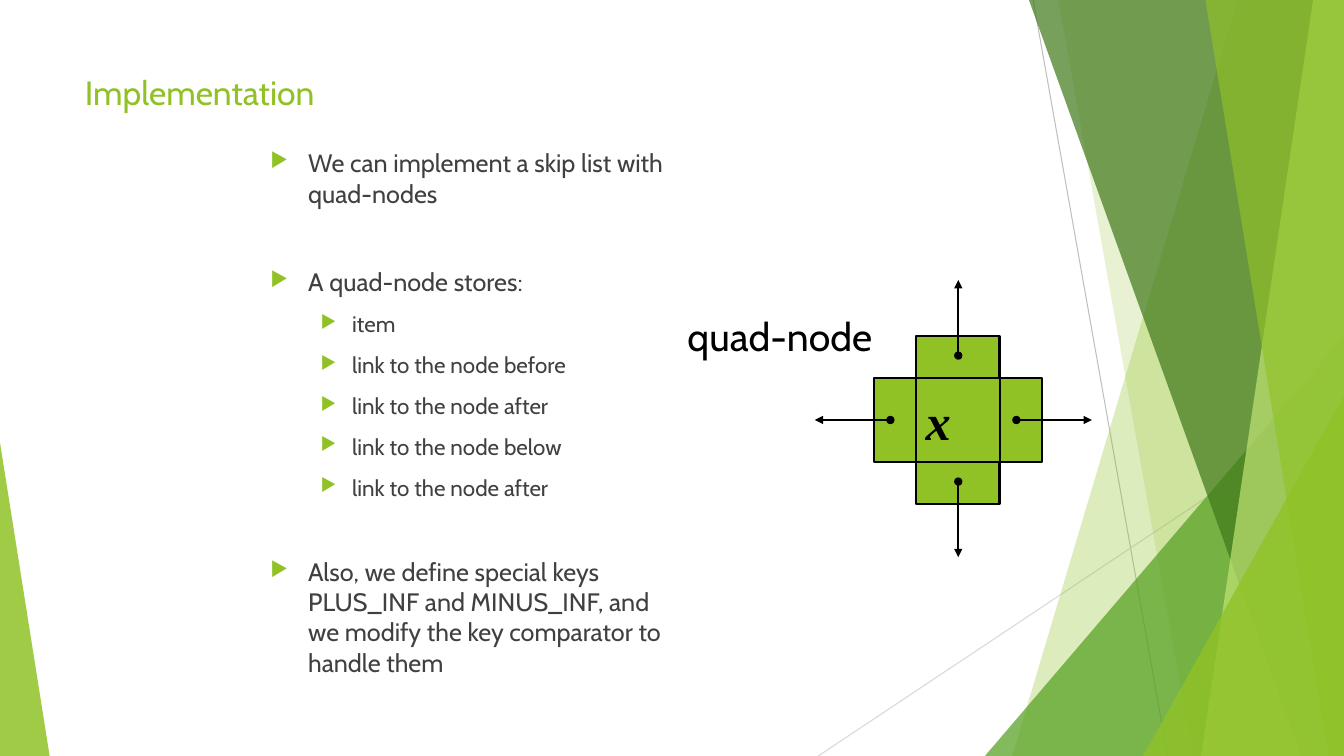
"""Builds the skip list slide with its quad-node diagram."""
from lxml import etree
from pptx import Presentation
from pptx import util as u
from pptx.dml.color import RGBColor
from pptx.enum import shapes, text
from pptx.oxml import ns

Pt = u.Pt
GREEN = RGBColor(0x90, 0xC2, 0x26)
MID_GREEN = RGBColor(0x54, 0xA0, 0x21)
DARK_GREEN = RGBColor(0x3F, 0x78, 0x19)
PALE_GREEN = RGBColor(0xC0, 0xE4, 0x74)
GREY = RGBColor(0xBF, 0xBF, 0xBF)
LIGHT_GREY = RGBColor(0xD9, 0xD9, 0xD9)
TEXT_GREY = RGBColor(0x40, 0x40, 0x40)
BLACK = RGBColor(0, 0, 0)
WIDTH, HEIGHT = 960, 540


def add_line(slide, points, color, width):
    line = slide.shapes.add_connector(shapes.MSO_CONNECTOR.STRAIGHT, *map(Pt, points))
    line.line.color.rgb = color
    line.line.width = Pt(width)
    etree.SubElement(line._element.spPr, ns.qn("a:effectLst"))
    return line


def set_font(paragraph, size, color, **formats):
    values = {"name": "Cabin", "size": Pt(size), **formats}
    for name, value in values.items():
        setattr(paragraph.font, name, value)
    paragraph.font.color.rgb = color


presentation = Presentation()
presentation.slide_width, presentation.slide_height = Pt(WIDTH), Pt(HEIGHT)
slide = presentation.slides.add_slide(presentation.slide_layouts[5])

add_line(slide, (738, 0, 834, HEIGHT), GREY, 0.75)
add_line(slide, (WIDTH, 290, 584.5, HEIGHT), LIGHT_GREY, 0.75)

facets = [
    ("panel", (884, 723), GREEN, 30),
    ("panel", (756, 852), GREEN, 20),
    ("triangle", (703.5, 240, 256.5, 1), MID_GREEN, 72),
    ("panel", (735, 929.5), DARK_GREEN, 70),
    ("panel", (938, 858), PALE_GREEN, 70),
    ("panel", (861, 949), GREEN, 65),
    ("triangle", (816.5, 283, 143.5, 1), GREEN, 80),
    ("triangle", (0, 316, 35.5, 0), GREEN, 85),
]
for kind, geometry, color, opacity in facets:
    if kind == "panel":
        top_x, bottom_x = geometry
        builder = slide.shapes.build_freeform(Pt(top_x), 0)
        corners = [(WIDTH, 0), (WIDTH, HEIGHT), (bottom_x, HEIGHT)]
        builder.add_line_segments([(Pt(x), Pt(y)) for x, y in corners], close=True)
        facet = builder.convert_to_shape()
    else:
        left, top, width, apex = geometry
        facet = slide.shapes.add_shape(
            shapes.MSO_SHAPE.ISOSCELES_TRIANGLE, Pt(left), Pt(top), Pt(width), Pt(HEIGHT - top))
        facet.adjustments[0] = apex
    facet.shadow.inherit = False
    facet.line.fill.background()
    facet.fill.solid()
    facet.fill.fore_color.rgb = color
    fill_color = facet._element.spPr.find(".//" + ns.qn("a:srgbClr"))
    etree.SubElement(fill_color, ns.qn("a:alpha"), val=str(opacity * 1000))

title = slide.shapes.title
title.left, title.top, title.width, title.height = Pt(53.5), Pt(48), Pt(677), Pt(104)
title.text_frame.text = "Implementation"
title.text_frame.vertical_anchor = text.MSO_ANCHOR.TOP
title.text_frame.paragraphs[0].alignment = text.PP_ALIGN.LEFT
set_font(title.text_frame.paragraphs[0], 24, GREEN)

body = slide.shapes.add_textbox(Pt(186), Pt(102), Pt(300), Pt(372))
body.text_frame.word_wrap = True
levels = [{"size": 18, "left": 27, "hanging": 27}, {"size": 16, "left": 58.5, "hanging": 22.5}]
items = [
    (0, 0, "We can implement a skip list with quad-nodes"),
    (0, 41.5, "A quad-node stores:"),
    (1, 10, "item"),
    (1, 10, "link to the node before"),
    (1, 10, "link to the node after"),
    (1, 10, "link to the node below"),
    (1, 10, "link to the node after"),
    (0, 39.5, "Also, we define special keys PLUS_INF and MINUS_INF, "
              "and we modify the key comparator to handle them"),
]
for index, (level, space_before, wording) in enumerate(items):
    paragraph = body.text_frame.paragraphs[0] if index == 0 else body.text_frame.add_paragraph()
    style = levels[level]
    properties = paragraph._p.get_or_add_pPr()
    properties.set("marL", str(Pt(style["left"])))
    properties.set("indent", str(-Pt(style["hanging"])))
    bullet_color = etree.SubElement(properties, ns.qn("a:buClr"))
    etree.SubElement(bullet_color, ns.qn("a:srgbClr"), val=str(GREEN))
    etree.SubElement(properties, ns.qn("a:buSzPct"), val="80000")
    etree.SubElement(properties, ns.qn("a:buChar"), char="▶")
    paragraph.text = wording
    paragraph.level = level
    paragraph.space_before = Pt(space_before)
    set_font(paragraph, style["size"], TEXT_GREY)

node_parts = [(shapes.MSO_SHAPE.CROSS, 120), (shapes.MSO_SHAPE.RECTANGLE, 60)]
for preset, side in node_parts:
    part = slide.shapes.add_shape(
        preset, Pt(684 - side / 2), Pt(300 - side / 2), Pt(side), Pt(side))
    part.shadow.inherit = False
    part.fill.solid()
    part.fill.fore_color.rgb = GREEN
    part.line.color.rgb = BLACK
    part.line.width = Pt(1.5)
part.text_frame.text = "x"
part.text_frame.vertical_anchor = text.MSO_ANCHOR.MIDDLE
key = part.text_frame.paragraphs[0]
key.alignment = text.PP_ALIGN.LEFT
set_font(key, 36, BLACK, name="Times New Roman", bold=True, italic=True)

links = [
    (726, 300, 780, 300),
    (636, 300, 582, 300),
    (684.5, 254, 684.5, 200),
    (684.5, 344, 684.5, 398),
]
for points in links:
    link = add_line(slide, points, BLACK, 1.5)
    outline = link.line._get_or_add_ln()
    etree.SubElement(outline, ns.qn("a:headEnd"), type="oval")
    etree.SubElement(outline, ns.qn("a:tailEnd"), type="triangle")

label = slide.shapes.add_textbox(Pt(484), Pt(219.5), Pt(147), Pt(41))
label.text_frame.word_wrap = False
label.text_frame.text = "quad-node"
set_font(label.text_frame.paragraphs[0], 28, BLACK)

presentation.save("out.pptx")
